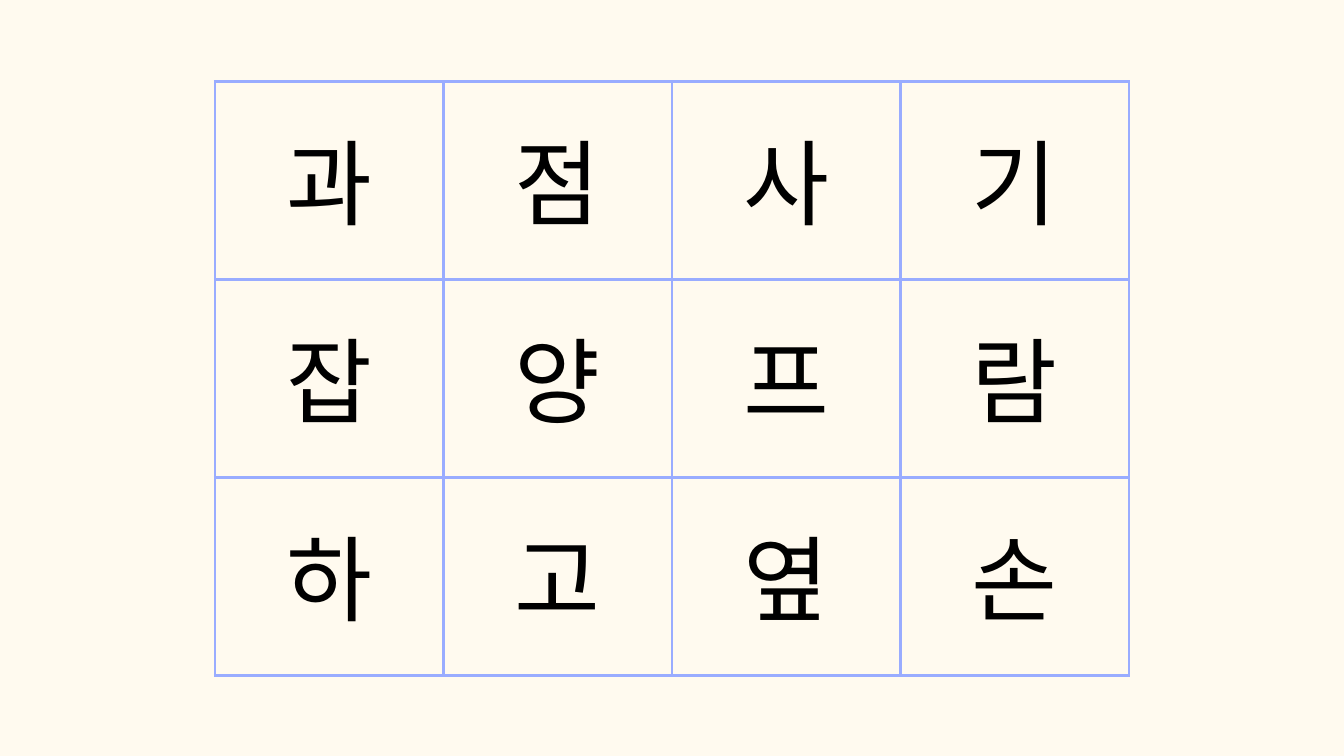
from lxml import etree
from pptx import Presentation
from pptx.dml.color import RGBColor
from pptx.enum.text import MSO_ANCHOR, PP_ALIGN
from pptx.oxml.ns import qn
from pptx.util import Inches, Pt

CENTER = PP_ALIGN.CENTER
MIDDLE = MSO_ANCHOR.MIDDLE
WIDTH, HEIGHT = 20, 11.25
GRID_WIDTH, GRID_HEIGHT = 0.68 * WIDTH, 8.84
MARGIN = Inches(0.21)
SYLLABLES = ["과점사기", "잡양프람", "하고옆손"]


def color(value):
    """Turn a hex string into a colour."""
    return RGBColor.from_string(value)


def add_borders(cell, value, width):
    """Draw a solid line on all four sides of a cell."""
    tc_pr = cell._tc.get_or_add_tcPr()
    for side in ("a:lnL", "a:lnR", "a:lnT", "a:lnB"):
        ln = etree.SubElement(tc_pr, qn(side), w=str(Pt(width)))
        fill = etree.SubElement(ln, qn("a:solidFill"))
        etree.SubElement(fill, qn("a:srgbClr"), val=value)


def fill_cell(cell, text):
    """Write one centred syllable in a bordered, unfilled cell."""
    add_borders(cell, "99ACFF", 3)
    cell.fill.background()
    cell.vertical_anchor = MIDDLE
    cell.margin_left = cell.margin_right = MARGIN
    cell.margin_top = cell.margin_bottom = MARGIN
    p = cell.text_frame.paragraphs[0]
    p.text = text
    p.alignment = CENTER
    p.line_spacing = Pt(140)
    p.font.name = "Arial"
    p.font.size = Pt(100)
    p.font.color.rgb = color("000000")


def add_syllable_grid(s, lines):
    """Add a table with one syllable per cell, centred across the slide."""
    table = s.shapes.add_table(
        len(lines), len(lines[0]),
        Inches((WIDTH - GRID_WIDTH) / 2), Inches(1.21),
        Inches(GRID_WIDTH), Inches(GRID_HEIGHT)).table
    table.first_row = table.horz_banding = False
    for row, line in enumerate(lines):
        for col, syllable in enumerate(line):
            fill_cell(table.cell(row, col), syllable)


def main():
    """Build and save the slide."""
    prs = Presentation()
    prs.slide_width, prs.slide_height = Inches(WIDTH), Inches(HEIGHT)
    s = prs.slides.add_slide(prs.slide_layouts[6])
    s.background.fill.solid()
    s.background.fill.fore_color.rgb = color("FFFAEF")
    add_syllable_grid(s, SYLLABLES)
    prs.save("out.pptx")


if __name__ == "__main__":
    main()
